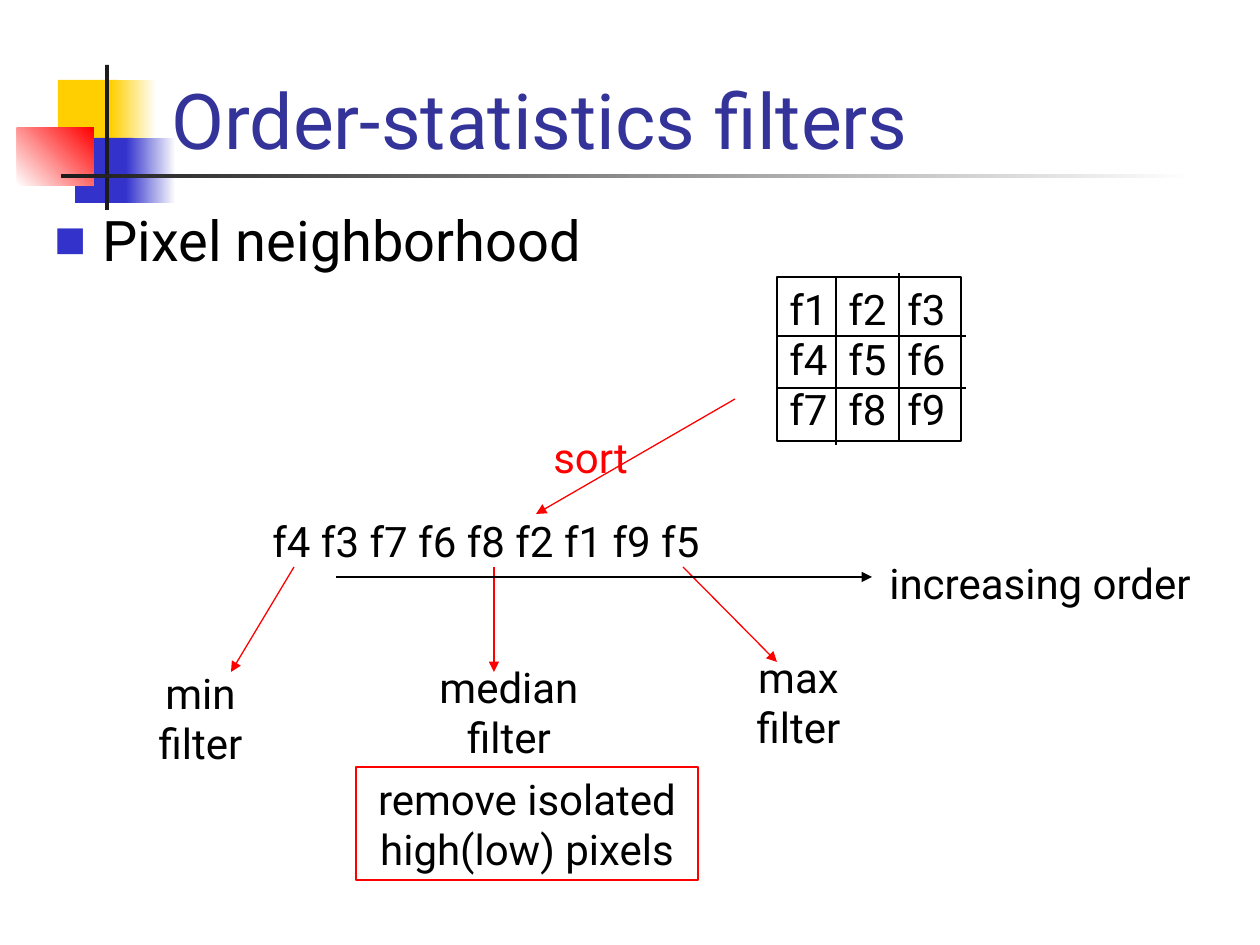
from dataclasses import dataclass
from lxml import etree
from pptx import Presentation, util as u
from pptx.dml.color import RGBColor
from pptx.enum import shapes, text
from pptx.oxml.ns import qn

PX_PER_INCH = 126
FONT = "Roboto"
BLACK, RED, WHITE = "000000", "FF0000", "FFFFFF"
YELLOW, BLUE, DARK, NAVY = "FFCF01", "3333CC", "1C1C1C", "333399"


@dataclass(frozen=True)
class Block:
    left: int
    top: int
    width: int
    height: int
    start: str
    end: str = ""
    angle: int = 0


@dataclass(frozen=True)
class Label:
    left: int
    top: int
    width: int
    height: int
    lines: tuple[str, ...]
    color: str = BLACK
    size: int = 24
    centered: bool = False
    border: str = ""
    wrap: bool = False
    bottom: bool = False


@dataclass(frozen=True)
class Line:
    x1: int
    y1: int
    x2: int
    y2: int
    color: str = BLACK
    arrow: bool = False


def px(value: int) -> u.Emu:
    return u.Emu(round(value * 914400 / PX_PER_INCH))


def rgb(value: str) -> RGBColor:
    return RGBColor.from_string(value)


def add_rectangle(slide, left: int, top: int, width: int, height: int):
    rectangle = slide.shapes.add_shape(
        shapes.MSO_SHAPE.RECTANGLE, px(left), px(top), px(width), px(height))
    rectangle.shadow.inherit = False
    return rectangle


def draw_block(slide, block: Block) -> None:
    rectangle = add_rectangle(slide, block.left, block.top, block.width, block.height)
    rectangle.line.fill.background()
    if block.end:
        rectangle.fill.gradient()
        rectangle.fill.gradient_angle = block.angle
        for stop, color in zip(rectangle.fill.gradient_stops, (block.start, block.end)):
            stop.color.rgb = rgb(color)
    else:
        rectangle.fill.solid()
        rectangle.fill.fore_color.rgb = rgb(block.start)


def draw_label(slide, label: Label):
    box = (label.left, label.top, label.width, label.height)
    if label.border:
        holder = add_rectangle(slide, *box)
        holder.fill.background()
        holder.line.color.rgb = rgb(label.border)
        holder.line.width = u.Pt(0.75)
    else:
        holder = slide.shapes.add_textbox(*map(px, box))
    frame = holder.text_frame
    frame.word_wrap = label.wrap
    frame.vertical_anchor = text.MSO_ANCHOR.BOTTOM if label.bottom else text.MSO_ANCHOR.TOP
    for index, line in enumerate(label.lines):
        paragraph = frame.add_paragraph() if index else frame.paragraphs[0]
        paragraph.alignment = text.PP_ALIGN.CENTER if label.centered else text.PP_ALIGN.LEFT
        run = paragraph.add_run()
        run.text = line
        run.font.name = FONT
        run.font.size = u.Pt(label.size)
        run.font.color.rgb = rgb(label.color)
    return frame


def draw_line(slide, line: Line) -> None:
    connector = slide.shapes.add_connector(
        shapes.MSO_CONNECTOR.STRAIGHT, px(line.x1), px(line.y1), px(line.x2), px(line.y2))
    connector.line.color.rgb = rgb(line.color)
    connector.line.width = u.Pt(0.75)
    if line.arrow:
        etree.SubElement(connector.line._get_or_add_ln(), qn("a:tailEnd"), type="triangle")
    etree.SubElement(connector._element.spPr, qn("a:effectLst"))


def add_bullet(paragraph, indent: int) -> None:
    properties = paragraph._p.get_or_add_pPr()
    properties.set("marL", str(px(indent)))
    properties.set("indent", str(-px(indent)))
    bullet_color = etree.SubElement(properties, qn("a:buClr"))
    etree.SubElement(bullet_color, qn("a:srgbClr"), val=BLUE)
    etree.SubElement(properties, qn("a:buSzPct"), val="60000")
    etree.SubElement(properties, qn("a:buFont"), typeface=FONT)
    etree.SubElement(properties, qn("a:buChar"), char="■")


def add_tabs(paragraph, step: int, count: int) -> None:
    tabs = etree.SubElement(paragraph._p.get_or_add_pPr(), qn("a:tabLst"))
    for index in range(1, count + 1):
        etree.SubElement(tabs, qn("a:tab"), pos=str(px(step * index)), algn="l")


ORNAMENT = (
    Block(58, 80, 60, 65, YELLOW),
    Block(111, 80, 45, 65, YELLOW, WHITE),
    Block(75, 138, 58, 65, BLUE),
    Block(126, 138, 50, 65, BLUE, WHITE),
    Block(17, 128, 77, 58, WHITE, RED, 45),
    Block(105, 65, 4, 145, DARK),
    Block(61, 174, 1134, 4, DARK, WHITE),
)
TITLE = Label(159, 14, 1073, 157, ("Order-statistics filters",), NAVY, 44,
              wrap=True, bottom=True)
TOPIC = Label(42, 199, 1192, 645, ("Pixel neighborhood",), size=32, wrap=True)
NEIGHBORHOOD = Label(777, 277, 184, 164, ("f1\tf2\tf3", "f4\tf5\tf6", "f7\tf8\tf9"),
                     border=BLACK, wrap=True)
GRID_LINES = (
    Line(777, 388, 966, 388),
    Line(777, 336, 966, 336),
    Line(899, 273, 899, 441),
    Line(836, 277, 836, 445),
)
ARROWS = (
    Line(735, 399, 536, 514, RED, True),
    Line(494, 567, 494, 672, RED, True),
    Line(683, 567, 777, 662, RED, True),
    Line(294, 567, 231, 672, RED, True),
    Line(336, 577, 872, 577, BLACK, True),
)
LABELS = (
    Label(541, 425, 103, 63, ("sort",), RED),
    Label(260, 509, 459, 63, ("f4 f3 f7 f6 f8 f2 f1 f9 f5",)),
    Label(422, 655, 174, 113, ("median", "filter"), centered=True),
    Label(877, 551, 350, 63, ("increasing order",)),
    Label(740, 645, 117, 113, ("max", "filter"), centered=True),
    Label(142, 661, 117, 113, ("min", "filter"), centered=True),
    Label(356, 767, 342, 113, ("remove isolated", "high(low) pixels"),
          centered=True, border=RED),
)


def main() -> None:
    deck = Presentation()
    deck.slide_width, deck.slide_height = px(1260), px(945)
    slide = deck.slides.add_slide(deck.slide_layouts[6])
    for block in ORNAMENT:
        draw_block(slide, block)
    draw_label(slide, TITLE)
    add_bullet(draw_label(slide, TOPIC).paragraphs[0], 48)
    neighborhood = draw_label(slide, NEIGHBORHOOD)
    neighborhood.margin_right = 0
    for row in neighborhood.paragraphs:
        add_tabs(row, 59, 2)
    for line in GRID_LINES + ARROWS:
        draw_line(slide, line)
    for label in LABELS:
        draw_label(slide, label)
    deck.save("out.pptx")


if __name__ == "__main__":
    main()
